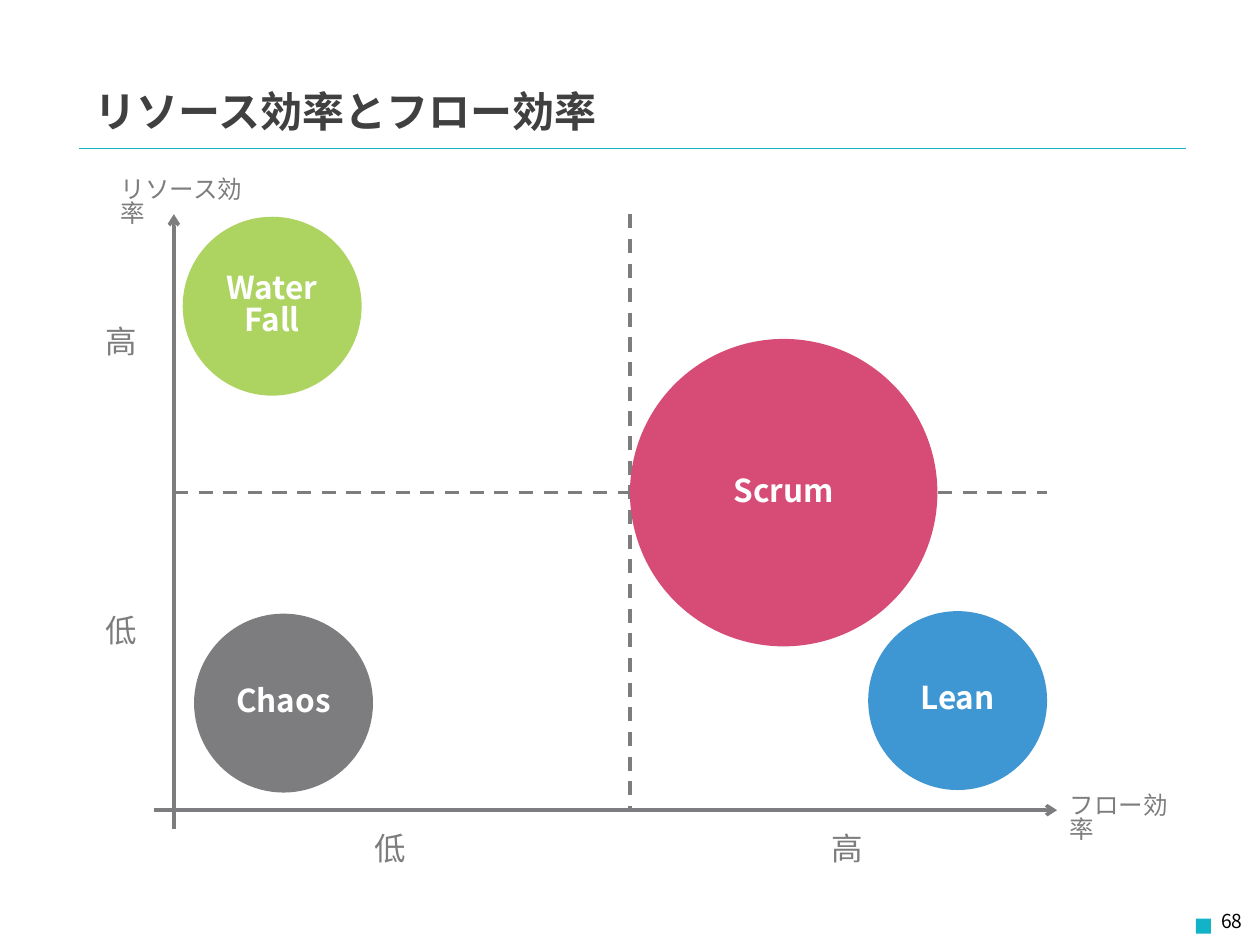
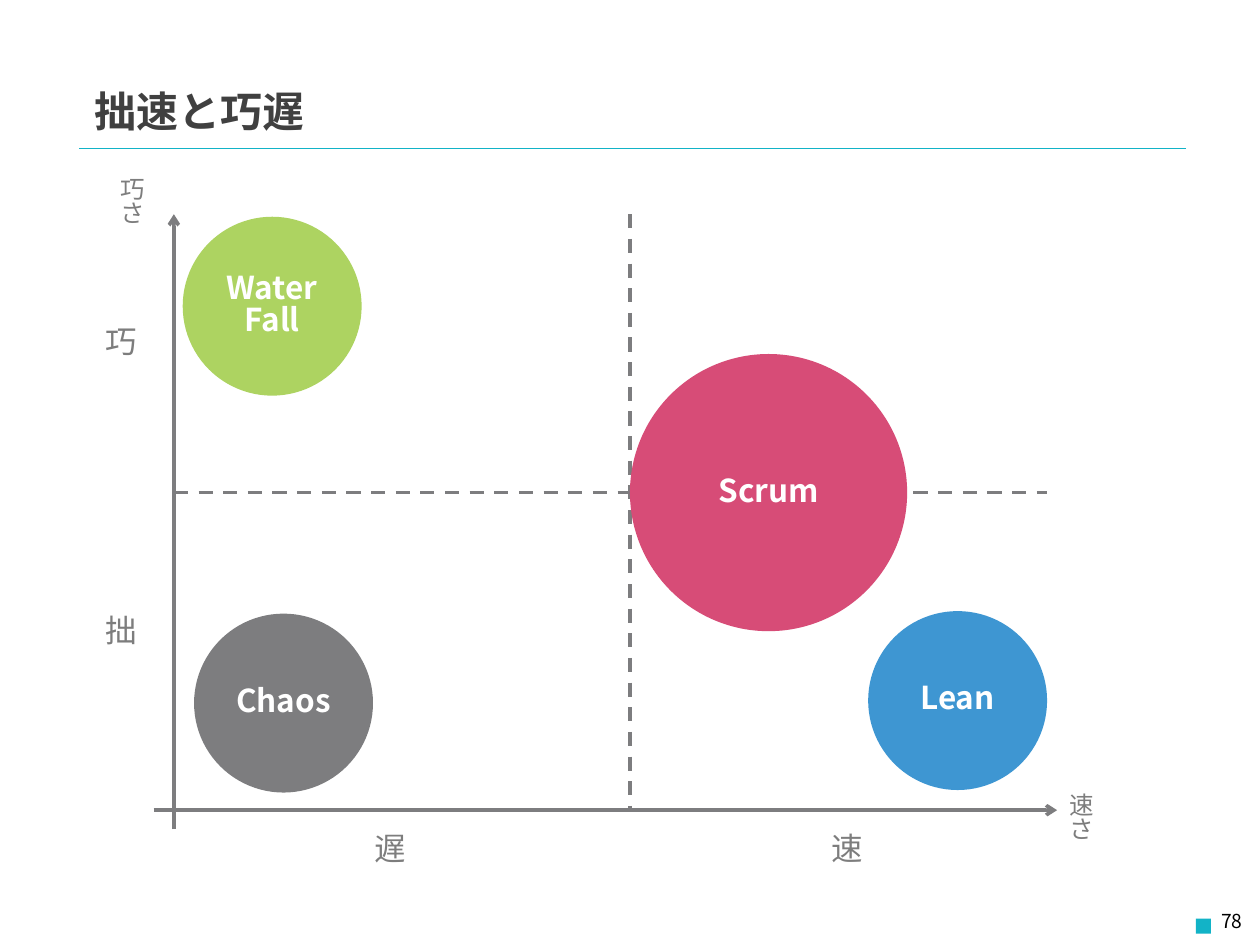
"""Build two quadrant slides that place work styles between two axes."""
from dataclasses import dataclass

import pptx
import pptx.dml.color
import pptx.enum.dml
import pptx.enum.shapes
import pptx.enum.text
import pptx.oxml.ns
import pptx.presentation
import pptx.shapes.base
import pptx.slide
import pptx.text.text
import pptx.util
from lxml import etree

RGB = pptx.dml.color.RGBColor
ALIGN = pptx.enum.text.PP_ALIGN
ANCHOR = pptx.enum.text.MSO_ANCHOR
SHAPE = pptx.enum.shapes.MSO_SHAPE

TEAL = RGB(0x12, 0xB3, 0xC7)
INK = RGB(0x40, 0x40, 0x40)
BLACK = RGB(0x00, 0x00, 0x00)
WHITE = RGB(0xFF, 0xFF, 0xFF)
AXIS_GRAY = RGB(0x7D, 0x7D, 0x7F)
LABEL_GRAY = RGB(0x7D, 0x7D, 0x7D)
BLUE = RGB(0x3E, 0x96, 0xD2)
PINK = RGB(0xD7, 0x4C, 0x77)
GREEN = RGB(0xAD, 0xD3, 0x61)

JP = "Noto Sans CJK JP"
KR = "Noto Sans CJK KR"
PX = 9144
LINE_SPACING = 0.83

LEFT, BOTTOM = 138, 643
MID_X, MID_Y = 500, 391
TOP, RIGHT = 170, 831
SMALL = 142


@dataclass(frozen=True)
class TextStyle:
    size: int
    color: RGB
    font: str = KR
    bold: bool = False
    align: ALIGN = ALIGN.LEFT


@dataclass(frozen=True)
class Label:
    text: str
    x: int
    y: int
    w: int
    h: int
    style: TextStyle


@dataclass(frozen=True)
class Circle:
    text: str
    x: int
    y: int
    size: int
    color: RGB


@dataclass(frozen=True)
class Line:
    x1: int
    y1: int
    x2: int
    y2: int
    color: RGB = AXIS_GRAY
    width: float = 2
    arrow: bool = False
    dashed: bool = False


@dataclass(frozen=True)
class Quadrant:
    title: str
    page: str
    x_name: str
    x_name_w: int
    x_levels: tuple[str, str]
    y_name: str
    y_name_w: int
    y_levels: tuple[str, str]
    scrum_size: int


TITLE = TextStyle(24, INK, JP, True)
PAGE = TextStyle(11, BLACK, JP, align=ALIGN.RIGHT)
LEVEL = TextStyle(18, LABEL_GRAY)
AXIS_NAME = TextStyle(14, LABEL_GRAY)
CIRCLE = TextStyle(18, WHITE, bold=True, align=ALIGN.CENTER)

RULE = Line(63, 118, 941, 118, TEAL, 0.25)
AXES = (
    Line(LEFT, 658, LEFT, TOP, arrow=True),
    Line(122, BOTTOM, 839, BOTTOM, arrow=True),
    Line(LEFT, MID_Y, RIGHT, MID_Y, dashed=True),
    Line(MID_X, TOP, MID_X, BOTTOM, dashed=True),
)

QUADRANTS = (
    Quadrant("リソース効率とフロー効率", "68", "フロー効率", 103, ("低", "高"),
             "リソース効率", 118, ("低", "高"), 244),
    Quadrant("拙速と巧遅", "78", "速さ", 53, ("遅", "速"),
             "巧さ", 53, ("拙", "巧"), 220),
)


def set_all(obj: object, values: dict[str, object]) -> None:
    """Set each named attribute on the object."""
    for name, value in values.items():
        setattr(obj, name, value)


def place(sp: pptx.shapes.base.BaseShape, x: int, y: int, w: int, h: int) -> None:
    """Move and size a shape in px."""
    set_all(sp, {"left": x * PX, "top": y * PX, "width": w * PX, "height": h * PX})


def write(tf: pptx.text.text.TextFrame, text: str, style: TextStyle,
          anchor: ANCHOR = ANCHOR.TOP) -> None:
    """Fill a text frame with one paragraph per line of text."""
    set_all(tf, {"text": text, "word_wrap": True, "vertical_anchor": anchor,
                 "auto_size": pptx.enum.text.MSO_AUTO_SIZE.NONE})
    for p in tf.paragraphs:
        set_all(p, {"alignment": style.align, "line_spacing": LINE_SPACING})
        for r in p.runs:
            set_all(r.font, {"size": pptx.util.Pt(style.size), "name": style.font,
                             "bold": style.bold})
            r.font.color.rgb = style.color
            ea = etree.SubElement(r.font._element, pptx.oxml.ns.qn("a:ea"))
            ea.set("typeface", style.font)


def add_label(s: pptx.slide.Slide, label: Label) -> None:
    """Draw a text box."""
    sp = s.shapes.add_textbox(0, 0, 0, 0)
    place(sp, label.x, label.y, label.w, label.h)
    write(sp.text_frame, label.text, label.style)


def add_filled(s: pptx.slide.Slide, kind: SHAPE, x: int, y: int, size: int,
               color: RGB) -> pptx.shapes.base.BaseShape:
    """Draw a flat shape of equal width and height."""
    sp = s.shapes.add_shape(kind, 0, 0, 0, 0)
    place(sp, x, y, size, size)
    sp.shadow.inherit = False
    sp.fill.solid()
    sp.fill.fore_color.rgb = color
    sp.line.fill.background()
    return sp


def add_circle(s: pptx.slide.Slide, circle: Circle) -> None:
    """Draw a circle with its centred name."""
    sp = add_filled(s, SHAPE.OVAL, circle.x, circle.y, circle.size, circle.color)
    write(sp.text_frame, circle.text, CIRCLE, ANCHOR.MIDDLE)


def add_line(s: pptx.slide.Slide, line: Line) -> None:
    """Draw a straight line, dashed or with an arrowhead."""
    ends = (v * PX for v in (line.x1, line.y1, line.x2, line.y2))
    cx = s.shapes.add_connector(pptx.enum.shapes.MSO_CONNECTOR.STRAIGHT, *ends)
    cx.line.color.rgb = line.color
    cx.line.width = pptx.util.Pt(line.width)
    if line.dashed:
        cx.line.dash_style = pptx.enum.dml.MSO_LINE.DASH
    if line.arrow:
        tail = etree.SubElement(cx.line._get_or_add_ln(), pptx.oxml.ns.qn("a:tailEnd"))
        tail.set("type", "arrow")
    etree.SubElement(cx._element.spPr, pptx.oxml.ns.qn("a:effectLst"))


def add_frame(s: pptx.slide.Slide, title: str, page: str) -> None:
    """Draw the title, its rule and the page number."""
    add_line(s, RULE)
    add_filled(s, SHAPE.RECTANGLE, 949, 729, 12, TEAL)
    add_label(s, Label(page, 857, 720, 139, 30, PAGE))
    sp = s.shapes.title
    place(sp, 65, 70, 638, 39)
    write(sp.text_frame, title, TITLE)


def add_quadrant(prs: pptx.presentation.Presentation, q: Quadrant) -> None:
    """Add one slide with axes, labels and circles."""
    s = prs.slides.add_slide(prs.slide_layouts[5])
    add_frame(s, q.title, q.page)
    for line in AXES:
        add_line(s, line)
    for text, y in zip(q.y_levels, (485, 256)):
        add_label(s, Label(text, 74, y, 45, 40, LEVEL))
    for text, x in zip(q.x_levels, (287, 650)):
        add_label(s, Label(text, x, 658, 45, 40, LEVEL))
    add_label(s, Label(q.x_name, 839, 626, q.x_name_w, 34, AXIS_NAME))
    add_label(s, Label(q.y_name, 86, 137, q.y_name_w, 34, AXIS_NAME))
    for circle in (
        Circle("Lean", RIGHT - SMALL, 485, SMALL, BLUE),
        Circle("Scrum", MID_X, MID_Y - q.scrum_size // 2, q.scrum_size, PINK),
        Circle("Water\nFall", 145, 172, SMALL, GREEN),
        Circle("Chaos", 154, 487, SMALL, AXIS_GRAY),
    ):
        add_circle(s, circle)


def main() -> None:
    """Build and save the presentation."""
    prs = pptx.Presentation()
    set_all(prs, {"slide_width": 1000 * PX, "slide_height": 750 * PX})
    for q in QUADRANTS:
        add_quadrant(prs, q)
    prs.save("out.pptx")


if __name__ == "__main__":
    main()
